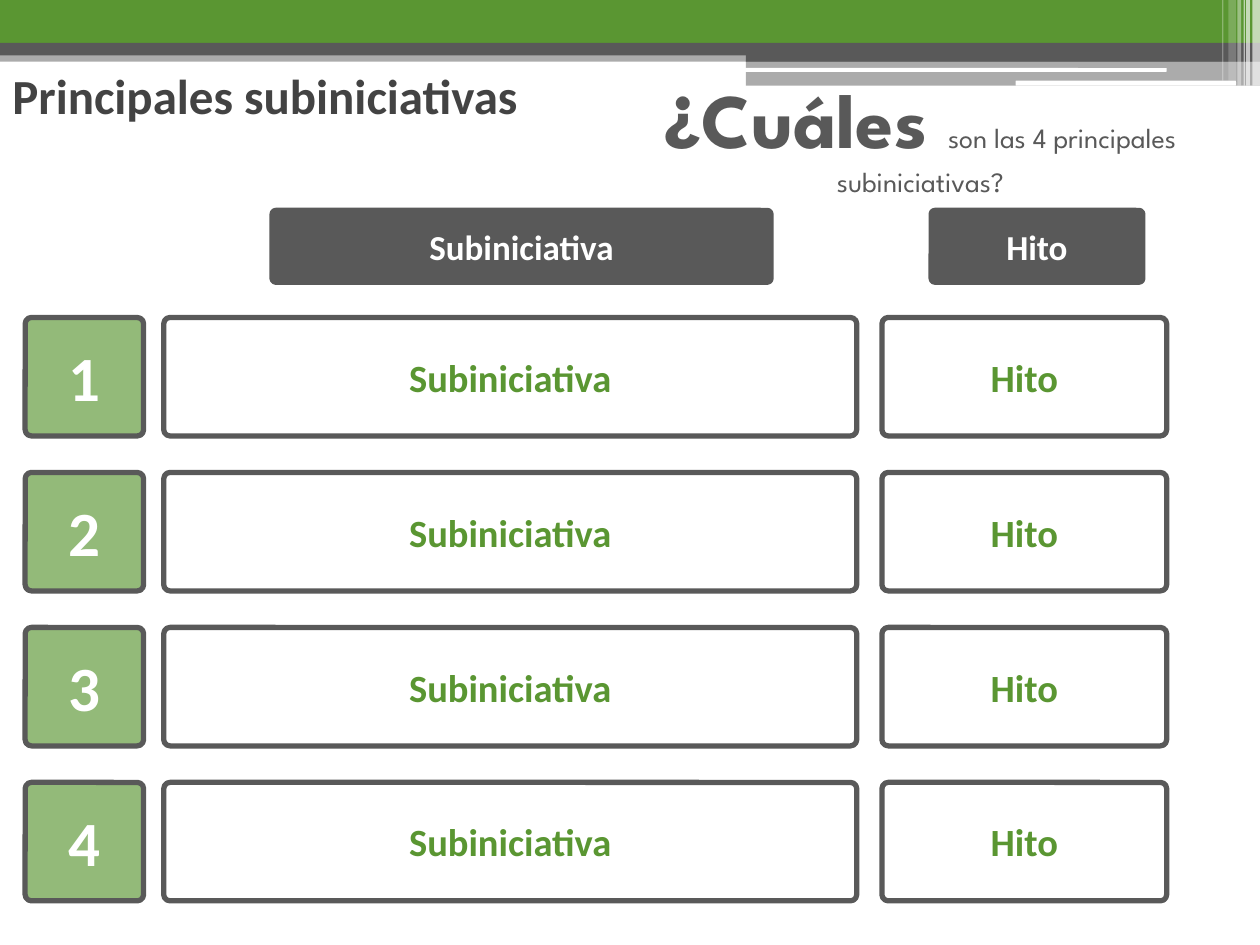
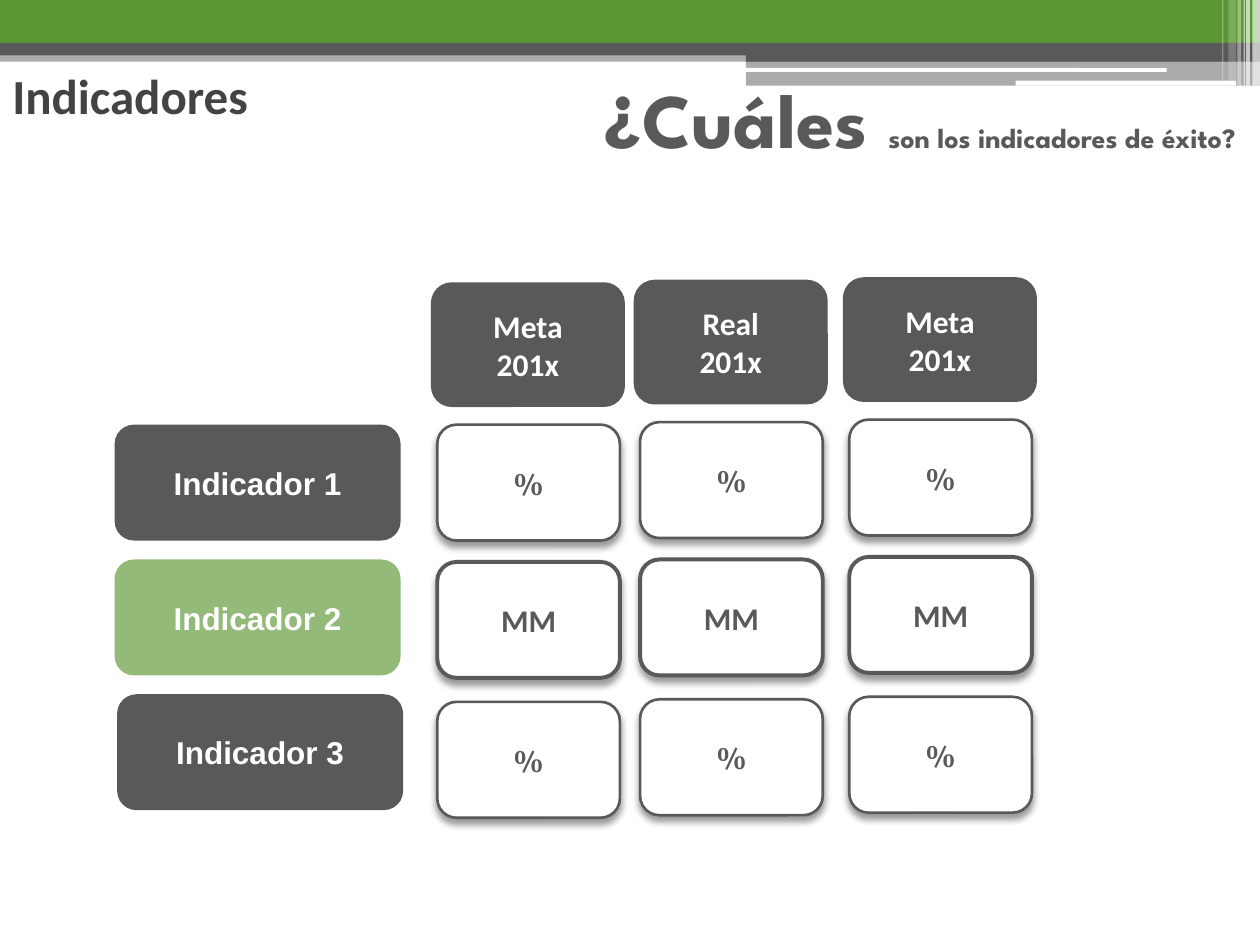
from pptx import Presentation
from pptx.dml.color import RGBColor
from pptx.enum.shapes import MSO_SHAPE as SHAPE
from pptx.enum.text import MSO_ANCHOR as ANCHOR, PP_ALIGN as ALIGN
from pptx.oxml.ns import qn
from pptx.util import Inches, Pt
from lxml.etree import SubElement

GREEN, GREY, DARK, WHITE = "5A9632", "595959", "434343", "FFFFFF"
BODY, DISPLAY = "Calibri", "League Spartan"


def colour(hex_code):
    return RGBColor.from_string(hex_code)


def add_run(paragraph, text, size, font, ink, bold=True):
    run = paragraph.add_run()
    run.text = text
    run.font.size, run.font.name, run.font.bold = Pt(size), font, bold
    run.font.color.rgb = colour(ink)


def add_shadow(shape):
    effects = shape._element.spPr.find(qn("a:effectLst"))
    shadow = SubElement(effects, qn("a:outerShdw"), blurRad=str(Pt(4)),
                        dist=str(Pt(3)), dir="5400000", rotWithShape="0")
    black = SubElement(shadow, qn("a:srgbClr"), val="000000")
    SubElement(black, qn("a:alpha"), val="40000")


def add_box(slide, box, fill=None, opacity=100, line=None, line_width=3,
            corner=None):
    """Rectangle; with a corner ratio it becomes a rounded one."""
    kind = SHAPE.RECTANGLE if corner is None else SHAPE.ROUNDED_RECTANGLE
    shape = slide.shapes.add_shape(kind, *map(Inches, box))
    shape.shadow.inherit = False
    if corner is not None:
        shape.adjustments[0] = corner
    if fill:
        shape.fill.solid()
        shape.fill.fore_color.rgb = colour(fill)
        if opacity < 100:
            tint = shape._element.spPr.find(qn("a:solidFill")).find(qn("a:srgbClr"))
            SubElement(tint, qn("a:alpha"), val=str(opacity * 1000))
    else:
        shape.fill.background()
    if line:
        shape.line.color.rgb = colour(line)
        shape.line.width = Pt(line_width)
    else:
        shape.line.fill.background()
    return shape


def add_label(slide, box, lines, size, ink, font=BODY, **style):
    """Box with centred bold text, one paragraph for each line."""
    shape = add_box(slide, box, **style)
    frame = shape.text_frame
    frame.word_wrap = True
    frame.vertical_anchor = ANCHOR.MIDDLE
    for i, line in enumerate(lines):
        paragraph = frame.add_paragraph() if i else frame.paragraphs[0]
        paragraph.alignment = ALIGN.CENTER
        add_run(paragraph, line, size, font, ink)
    return shape


def add_text(slide, box, runs, align):
    frame = slide.shapes.add_textbox(*map(Inches, box)).text_frame
    frame.word_wrap = True
    frame.paragraphs[0].alignment = align
    for run in runs:
        add_run(frame.paragraphs[0], *run)


def add_top_band(slide, box):
    left, top, width, _ = box
    right = left + width
    # Full-width stripes, then the stepped block on the right
    for x, y, w, h, fill, opacity in [
            (0, 0.4, width, 0.09, GREY, 50),
            (0, 0, width, 0.34, GREEN, 100),
            (0, 0.34, width, 0.1, GREY, 100),
            (5.92, 0.39, 4.08, 0.1, GREY, 100),
            (5.92, 0.48, 4.08, 0.2, GREY, 50)]:
        add_box(slide, (left + x, top + y, w, h), fill, opacity)
    # White slots
    for x, y, w, h in [(5.91, 0.54, 3.35, 0.03), (8.06, 0.64, 1.75, 0.04)]:
        add_box(slide, (left + x, top + y, w, h), WHITE, corner=0.167)
    # Translucent vertical bars, measured from the right edge
    for inset, w, h, opacity in [
            (0.06, 0.06, 0.68, 65), (0.11, 0.03, 0.68, 65),
            (0.13, 0.01, 0.68, 60), (0.18, 0.03, 0.68, 40),
            (0.25, 0.06, 0.64, 20), (0.3, 0.01, 0.64, 30)]:
        add_box(slide, (right - inset, top, w, h), WHITE, opacity)


def add_heading(slide, title, title_width, question, question_bold):
    add_top_band(slide, (0, 0, 10, 0.68))
    add_text(slide, (0, 0.47, title_width, 0.57),
             [(title, 28, BODY, DARK)], ALIGN.LEFT)
    add_text(slide, (4.61, 0.52, 5.39, 1.14),
             [("¿Cuáles ", 44, DISPLAY, GREY),
              (question, 16, DISPLAY, GREY, question_bold)], ALIGN.CENTER)


def add_initiatives(slide, box, count=4):
    left, top, _, height = box
    row_height, first_row = 0.94, 0.85
    pitch = (height - first_row - row_height) / (count - 1)
    frame_style = dict(line=GREY, corner=0.053)
    # Column headers
    for x, w, header in [(1.96, 3.96, "Subiniciativa"), (7.19, 1.68, "Hito")]:
        add_label(slide, (left + x, top, w, 0.57), [header], 20, WHITE,
                  fill=GREY, **frame_style)
    # Numbered rows
    for i in range(count):
        y = top + first_row + i * pitch
        add_label(slide, (left, y, row_height, row_height), [str(i + 1)], 36,
                  WHITE, fill=GREEN, opacity=65, **frame_style)
        for x, w, text in [(1.1, 5.5, "Subiniciativa"), (6.8, 2.26, "Hito")]:
            add_label(slide, (left + x, y, w, row_height), [text], 22, GREEN,
                      **frame_style)


def add_indicators(slide, box):
    left, top, _, _ = box
    corner = 0.167
    # Row names
    for i, (x, opacity) in enumerate([(0, 100), (0, 65), (0.02, 100)]):
        add_label(slide, (left + x, top + 1.13 + i * 1.07, 2.27, 0.92),
                  [f"Indicador {i + 1}"], 18, WHITE, "Arial",
                  fill=GREEN if opacity < 100 else GREY, opacity=opacity,
                  corner=corner)
    # Each column stands slightly higher than the one before
    for i, (x, header) in enumerate([(2.51, "Meta"), (4.12, "Real"),
                                     (5.78, "Meta")]):
        column_top = top - i * 0.02
        add_label(slide, (left + x, column_top, 1.54, 0.99),
                  [header, "201x"], 18, WHITE, fill=GREY, corner=corner)
        for y, unit, font, line_width in [(1.13, "%", "Cambria", 1.5),
                                          (2.22, "MM", BODY, 2.25),
                                          (3.33, "%", "Cambria", 1.5)]:
            cell = add_label(slide, (left + x + 0.05, column_top + y, 1.45, 0.92),
                             [unit], 18, GREY, font, fill=WHITE, line=GREY,
                             line_width=line_width, corner=corner)
            add_shadow(cell)


deck = Presentation()
deck.slide_width, deck.slide_height = Inches(10), Inches(7.5)
blank = deck.slide_layouts[6]

# Slide 1: main sub-initiatives
initiatives = deck.slides.add_slide(blank)
add_heading(initiatives, "Principales subiniciativas", 4.29,
            "son las 4 principales subiniciativas?", False)
add_initiatives(initiatives, (0.2, 1.67, 9.06, 5.48))

# Slide 2: success indicators
indicators = deck.slides.add_slide(blank)
add_heading(indicators, "Indicadores", 2.64,
            "son los indicadores de éxito?", True)
add_indicators(indicators, (0.91, 2.24, 7.32, 4.25))

deck.save("out.pptx")
